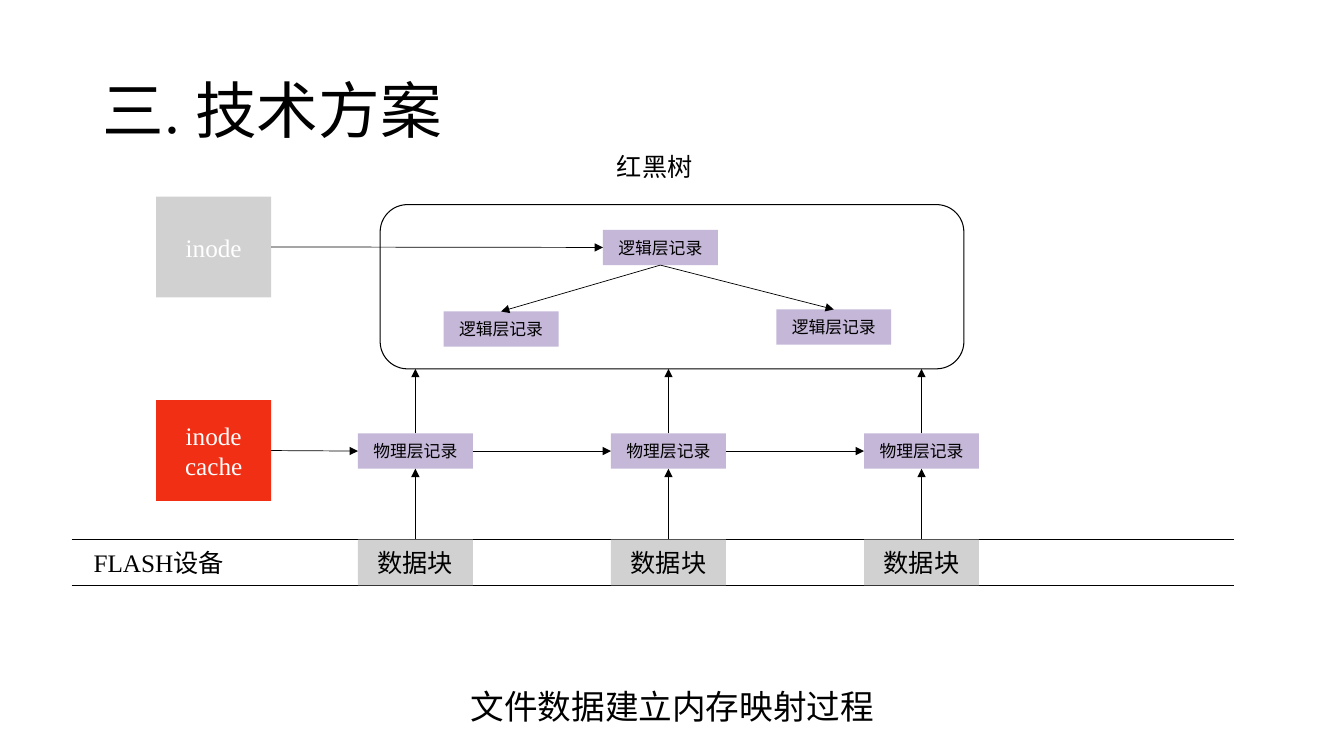
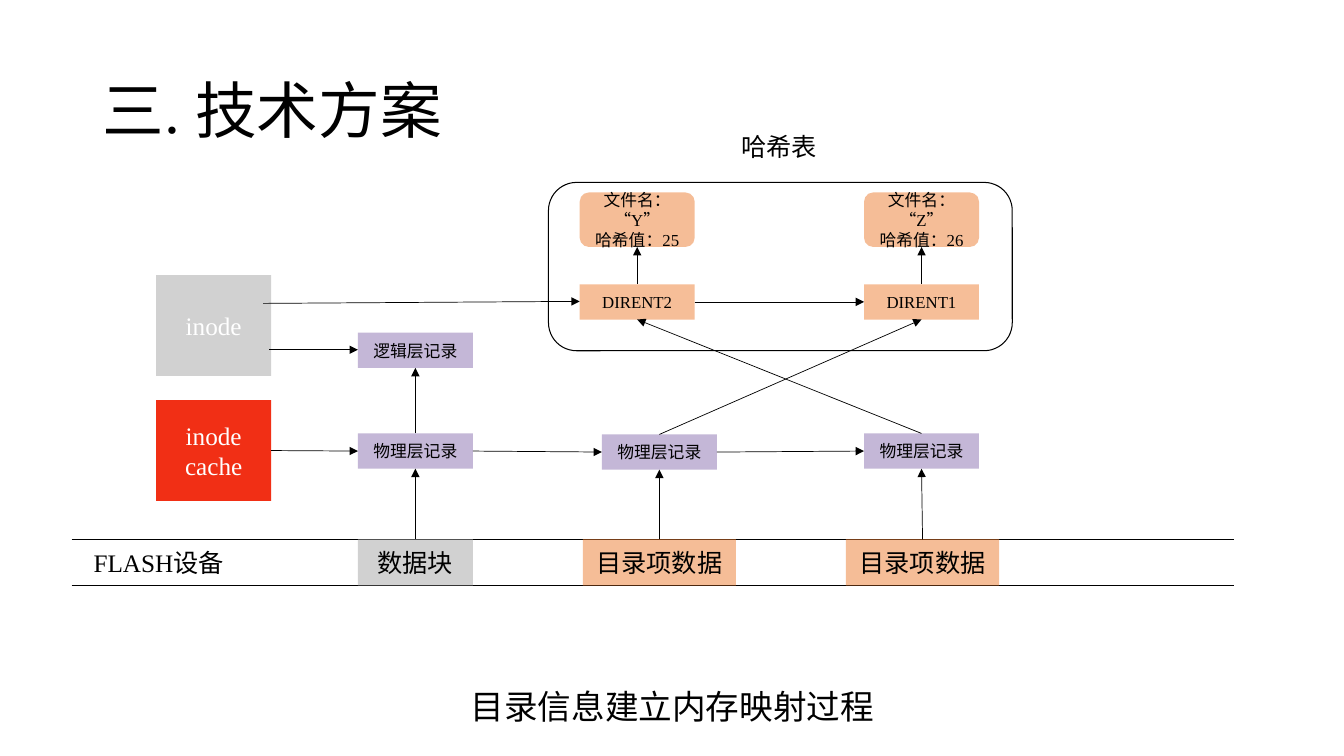
from dataclasses import dataclass

from lxml.etree import SubElement
from pptx import Presentation
from pptx.dml.color import RGBColor
from pptx.enum.shapes import MSO_CONNECTOR as CXN, MSO_SHAPE as SHAPE
from pptx.enum.text import MSO_ANCHOR as ANCHOR, PP_ALIGN as ALIGN
from pptx.oxml.ns import qn
from pptx.shapes.autoshape import Shape
from pptx.shapes.connector import Connector
from pptx.slide import Slide
from pptx.text.text import TextFrame
from pptx.util import Inches, Pt

FONT = "Times New Roman"
BLACK, WHITE = "000000", "FFFFFF"
GREY, RED, PURPLE = "A5A5A5", "F12F15", "C4B7D7"
ORANGE, PEACH = "ED7D31", "F6BE98"
TOP, LEFT, BOTTOM, RIGHT = range(4)
NODE_W = 1.14
COLUMNS = (3.55, 6.06, 8.57)
FLASH_TOP, FLASH_BOTTOM = 5.35, 5.81
PHYSICAL_TOP = 4.3
PHYSICAL, LOGICAL, BLOCK, DIRENT_BLOCK = "物理层记录", "逻辑层记录", "数据块", "目录项数据"


@dataclass(frozen=True)
class NodeStyle:
    fill: str
    w: float
    h: float
    size: int
    color: str = BLACK
    alpha: int = 100
    shape: SHAPE = SHAPE.RECTANGLE


@dataclass(frozen=True)
class TextStyle:
    size: int
    align: ALIGN = ALIGN.LEFT
    anchor: ANCHOR = ANCHOR.TOP
    spacing: float = 1.0
    wrap: bool = True


INODE = NodeStyle(GREY, NODE_W, 1, 18, WHITE, 50)
CACHE = NodeStyle(RED, NODE_W, 1, 18, WHITE)
RECORD = NodeStyle(PURPLE, NODE_W, 0.35, 12)
DIRENT = NodeStyle(PEACH, NODE_W, 0.35, 12)
FILE = NodeStyle(ORANGE, NODE_W, 0.54, 12, alpha=50, shape=SHAPE.ROUNDED_RECTANGLE)
DATA = NodeStyle(GREY, NODE_W, 0.46, 18, alpha=50)
DIRENT_DATA = NodeStyle(ORANGE, 1.52, 0.46, 18, alpha=50)

TITLE = TextStyle(44, anchor=ANCHOR.MIDDLE, spacing=0.9)
LABEL = TextStyle(18)
CENTRED = TextStyle(18, ALIGN.CENTER)
CAPTION = TextStyle(24, wrap=False)


def rgb(value: str) -> RGBColor:
    return RGBColor.from_string(value)


def write(tf: TextFrame, text: str, style: TextStyle, color: str = BLACK) -> None:
    for name, value in {"word_wrap": style.wrap, "vertical_anchor": style.anchor}.items():
        setattr(tf, name, value)
    for i, line in enumerate(text.split("\n")):
        p = tf.add_paragraph() if i else tf.paragraphs[0]
        p.alignment, p.line_spacing = style.align, style.spacing
        r = p.add_run()
        r.text = line
        for name, value in {"name": FONT, "size": Pt(style.size)}.items():
            setattr(r.font, name, value)
        r.font.color.rgb = rgb(color)


def add_text(s: Slide, text: str, x: float, y: float, w: float, h: float, style: TextStyle) -> None:
    box = s.shapes.add_textbox(Inches(x), Inches(y), Inches(w), Inches(h))
    write(box.text_frame, text, style)


def add_node(s: Slide, text: str, x: float, y: float, style: NodeStyle) -> Shape:
    sp = s.shapes.add_shape(style.shape, Inches(x), Inches(y), Inches(style.w), Inches(style.h))
    sp.shadow.inherit = False
    sp.fill.solid()
    sp.fill.fore_color.rgb = rgb(style.fill)
    if style.alpha < 100:
        color = sp._element.spPr.find(qn("a:solidFill"))[0]
        SubElement(color, qn("a:alpha"), val=str(style.alpha * 1000))
    sp.line.fill.background()
    write(sp.text_frame, text, TextStyle(style.size, ALIGN.CENTER, ANCHOR.MIDDLE), style.color)
    return sp


def add_frame(s: Slide, x: float, y: float, w: float, h: float) -> None:
    sp = s.shapes.add_shape(SHAPE.ROUNDED_RECTANGLE, Inches(x), Inches(y), Inches(w), Inches(h))
    sp.shadow.inherit = False
    sp.fill.background()
    sp.line.color.rgb = rgb(BLACK)
    sp.line.width = Pt(0.75)


def add_line(s: Slide, x1: float, y1: float, x2: float, y2: float, arrow: bool = True) -> Connector:
    c = s.shapes.add_connector(CXN.STRAIGHT, Inches(x1), Inches(y1), Inches(x2), Inches(y2))
    c.line.color.rgb = rgb(BLACK)
    c.line.width = Pt(0.5)
    spPr = c._element.spPr
    if arrow:
        SubElement(spPr.find(qn("a:ln")), qn("a:tailEnd"), type="triangle")
    SubElement(spPr, qn("a:effectLst"))
    return c


def join(s: Slide, start: Shape, start_side: int, end: Shape, end_side: int) -> None:
    c = add_line(s, 0, 0, 0, 0)
    c.begin_connect(start, start_side)
    c.end_connect(end, end_side)


def add_base(prs: Presentation, caption: str, inode_top: float) -> tuple[Slide, Shape, Shape]:
    s = prs.slides.add_slide(prs.slide_layouts[6])
    add_text(s, "三. 技术方案", 0.92, 0.4, 11.5, 1.45, TITLE)
    add_text(s, "FLASH设备", 0.83, 5.38, 1.85, 0.4, LABEL)
    add_text(s, caption, 4.57, 6.76, 4.2, 0.5, CAPTION)
    for y in (FLASH_TOP, FLASH_BOTTOM):
        add_line(s, 0.71, y, 12.24, y, arrow=False)
    inode = add_node(s, "inode", 1.55, inode_top, INODE)
    cache = add_node(s, "inode cache", 1.55, 3.97, CACHE)
    return s, inode, cache


def add_chain(s: Slide, cache: Shape, blocks: list[Shape], records: list[Shape]) -> None:
    for block, record in zip(blocks, records):
        join(s, block, TOP, record, BOTTOM)
    for start, end in zip([cache, *records], records):
        join(s, start, RIGHT, end, LEFT)


def file_slide(prs: Presentation) -> None:
    s, inode, cache = add_base(prs, "文件数据建立内存映射过程", 1.95)
    add_text(s, "红黑树", 6.02, 1.45, 1.29, 0.4, LABEL)
    blocks = [add_node(s, BLOCK, x, FLASH_TOP, DATA) for x in COLUMNS]
    records = [add_node(s, PHYSICAL, x, PHYSICAL_TOP, RECORD) for x in COLUMNS]
    add_chain(s, cache, blocks, records)
    for x in COLUMNS:
        centre = x + NODE_W / 2
        add_line(s, centre, PHYSICAL_TOP, centre, 3.66)
    root, *children = [
        add_node(s, LOGICAL, x, y, RECORD) for x, y in ((5.98, 2.28), (4.4, 3.09), (7.7, 3.07))
    ]
    for child in children:
        join(s, root, BOTTOM, child, TOP)
    join(s, inode, RIGHT, root, LEFT)
    add_frame(s, 3.77, 2.03, 5.79, 1.63)


def directory_slide(prs: Presentation) -> None:
    s, _, cache = add_base(prs, "目录信息建立内存映射过程", 2.73)
    add_text(s, "哈希表", 7.18, 1.25, 1.1, 0.4, CENTRED)
    blocks = [add_node(s, BLOCK, COLUMNS[0], FLASH_TOP, DATA)]
    blocks += [add_node(s, DIRENT_BLOCK, x, FLASH_TOP, DIRENT_DATA) for x in (5.78, 8.39)]
    spots = ((COLUMNS[0], PHYSICAL_TOP), (5.97, 4.31), (COLUMNS[2], PHYSICAL_TOP))
    records = [add_node(s, PHYSICAL, x, y, RECORD) for x, y in spots]
    add_chain(s, cache, blocks, records)
    logical = add_node(s, LOGICAL, COLUMNS[0], 3.3, RECORD)
    join(s, records[0], TOP, logical, BOTTOM)
    add_line(s, 2.67, 3.47, 3.55, 3.47)

    dirents = []
    for x, name, file, value in ((5.75, "DIRENT2", "Y", 25), (8.57, "DIRENT1", "Z", 26)):
        dirent = add_node(s, name, x, 2.82, DIRENT)
        entry = add_node(s, f"文件名：“{file}”\n哈希值：{value}", x, 1.91, FILE)
        join(s, dirent, TOP, entry, BOTTOM)
        dirents.append(dirent)
    for record, dirent in zip(records[1:], reversed(dirents)):
        join(s, record, TOP, dirent, BOTTOM)
    add_line(s, 2.61, 3.01, 5.75, 2.99)
    join(s, dirents[0], RIGHT, dirents[1], LEFT)
    add_frame(s, 5.44, 1.81, 4.6, 1.67)


prs = Presentation()
prs.slide_width, prs.slide_height = Inches(13.33), Inches(7.5)
file_slide(prs)
directory_slide(prs)
prs.save("out.pptx")
